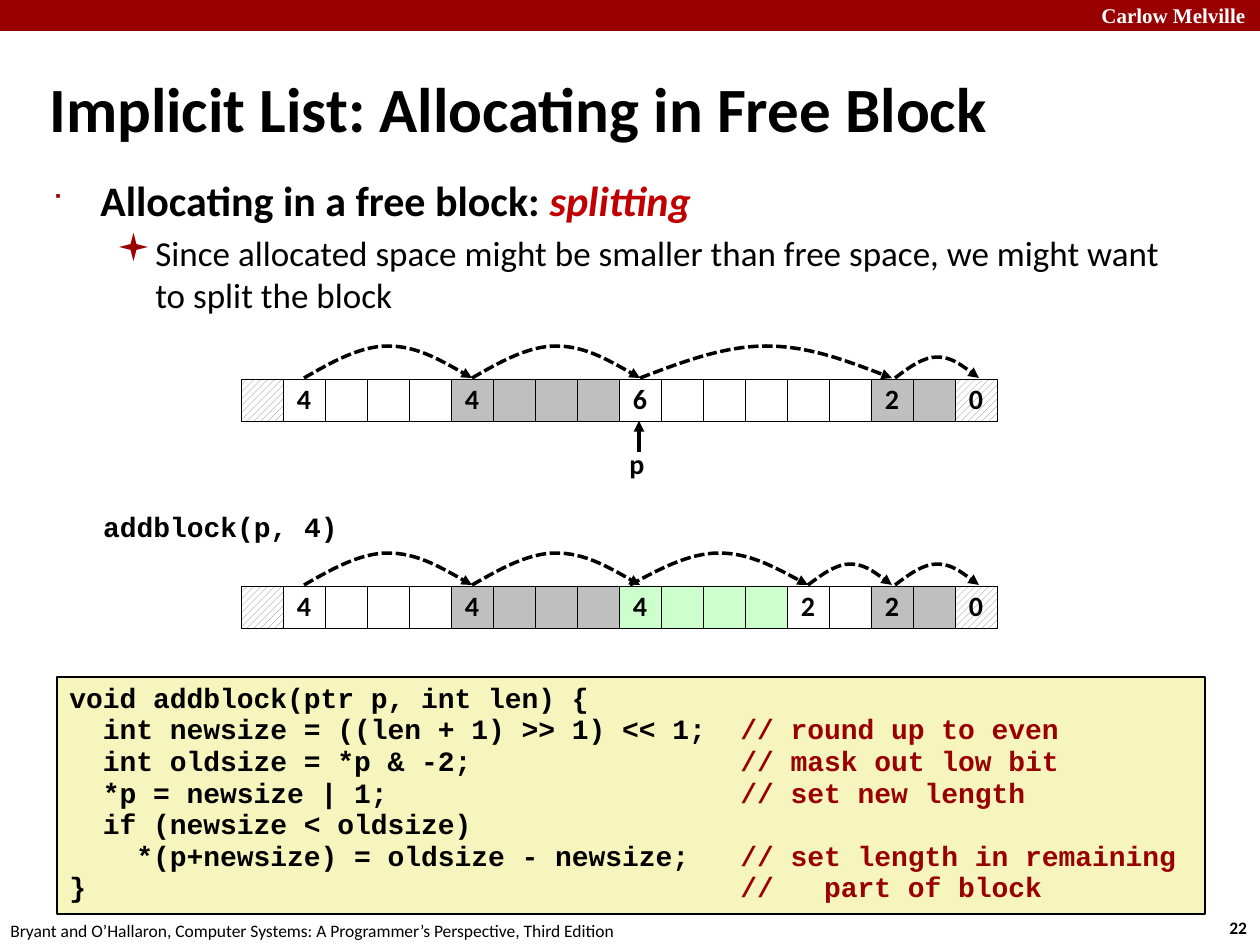
from lxml.etree import SubElement
from pptx import Presentation
from pptx.dml.color import RGBColor
from pptx.enum.dml import MSO_LINE, MSO_PATTERN
from pptx.enum.shapes import MSO_CONNECTOR, MSO_SHAPE
from pptx.enum.text import MSO_ANCHOR, PP_ALIGN
from pptx.oxml.ns import qn
from pptx.util import Emu, Pt

BLACK = RGBColor(0x00, 0x00, 0x00)
WHITE = RGBColor(0xFF, 0xFF, 0xFF)
DARK_RED = RGBColor(0x99, 0x00, 0x00)
RED = RGBColor(0xC0, 0x00, 0x00)
GRAY = RGBColor(0xBF, 0xBF, 0xBF)
GREEN = RGBColor(0xCC, 0xFF, 0xCC)
CREAM = RGBColor(0xF6, 0xF5, 0xBD)
HATCH_GRAY = RGBColor(0x80, 0x80, 0x80)
CELL = 42

CODE = [
    ("void addblock(ptr p, int len) {", ""),
    ("  int newsize = ((len + 1) >> 1) << 1;", "// round up to even"),
    ("  int oldsize = *p & -2;", "// mask out low bit"),
    ("  *p = newsize | 1;", "// set new length"),
    ("  if (newsize < oldsize)", ""),
    ("    *(p+newsize) = oldsize - newsize;", "// set length in remaining"),
    ("}", "//   part of block"),
]
BLOCKS_BEFORE = [(4, WHITE), (4, GRAY), (6, WHITE), (2, GRAY)]
BLOCKS_AFTER = [(4, WHITE), (4, GRAY), (4, GREEN), (2, WHITE), (2, GRAY)]
HOPS_BEFORE = [(63, 231), (231, 399), (399, 651), (654, 738)]
HOPS_AFTER = [(63, 231), (231, 399), (389, 567), (567, 651), (654, 738)]


def px(length):
    """Turn picture pixels into EMU."""
    return Emu(round(length * 9144000 / 1260))


def style(paragraph, size, color=BLACK, bold=True, face="Calibri"):
    """Set the font of a paragraph."""
    font = paragraph.font
    font.size, font.bold, font.name = Pt(size), bold, face
    font.color.rgb = color


def add_label(slide, box, text, size, wrap=False, anchor=MSO_ANCHOR.TOP, **look):
    """Add a text box holding one styled paragraph."""
    label = slide.shapes.add_textbox(*map(px, box))
    frame = label.text_frame
    frame.word_wrap, frame.vertical_anchor = wrap, anchor
    paragraph = frame.paragraphs[0]
    paragraph.text = text
    style(paragraph, size, **look)
    return frame


def add_box(slide, box, fill, line_width=0.25):
    """Add an outlined rectangle, hatched when no fill colour is given."""
    rectangle = slide.shapes.add_shape(MSO_SHAPE.RECTANGLE, *map(px, box))
    rectangle.shadow.inherit = False
    if fill is None:
        rectangle.fill.patterned()
        rectangle.fill.pattern = MSO_PATTERN.WIDE_UPWARD_DIAGONAL
        rectangle.fill.fore_color.rgb = HATCH_GRAY
        rectangle.fill.back_color.rgb = WHITE
    else:
        rectangle.fill.solid()
        rectangle.fill.fore_color.rgb = fill
    rectangle.line.color.rgb = BLACK
    rectangle.line.width = Pt(line_width)
    return rectangle


def add_arrowhead(line):
    """Give a line black ink and an arrowhead at its end."""
    line.color.rgb = BLACK
    line.width = Pt(2)
    SubElement(line._get_or_add_ln(), qn("a:tailEnd"), type="triangle")


def add_hop(slide, left, base, width):
    """Draw a dashed arc from one block header to the next."""
    height = 32 if width > 100 else 21
    builder = slide.shapes.build_freeform(px(left), px(base))
    builder.add_line_segments(
        [(px(left + width / 2), px(base - height)), (px(left + width), px(base))],
        close=False)
    arc = builder.convert_to_shape()
    rise = [(1 / 6, 1 / 2), (1 / 3, 0), (1 / 2, 0)]
    fall = [(2 / 3, 0), (5 / 6, 1 / 2), (1, 1)]
    for segment, curve in zip(list(arc._element.iter(qn("a:lnTo"))), (rise, fall)):
        segment.tag = qn("a:cubicBezTo")
        segment.remove(segment[0])
        for x, y in curve:
            SubElement(segment, qn("a:pt"),
                       x=str(px(x * width)), y=str(px(y * height)))
    arc.shadow.inherit = False
    arc.fill.background()
    arc.line.dash_style = MSO_LINE.SQUARE_DOT
    add_arrowhead(arc.line)


def add_heap(slide, left, top, blocks, hops):
    """Draw a row of memory words with the hops between its blocks."""
    words = [("", None)]
    for size, color in blocks:
        words += [(str(size), color)] + [("", color)] * (size - 1)
    words.append(("0", None))
    for index, (value, color) in enumerate(words):
        word = add_box(slide, (left + index * CELL, top, CELL, CELL), color)
        if value:
            frame = word.text_frame
            frame.word_wrap = False
            frame.vertical_anchor = MSO_ANCHOR.MIDDLE
            paragraph = frame.paragraphs[0]
            paragraph.text = value
            paragraph.alignment = PP_ALIGN.CENTER
            paragraph.line_spacing = 0.98
            style(paragraph, 16)
    for start, end in hops:
        add_hop(slide, left + start, top - 1, end - start)


def add_pointer(slide, left, top):
    """Draw the pointer p below its block."""
    arrow = slide.shapes.add_connector(
        MSO_CONNECTOR.STRAIGHT, px(left), px(top + 31), px(left), px(top))
    add_arrowhead(arrow.line)
    SubElement(arrow._element.spPr, qn("a:effectLst"))
    name = add_label(slide, (left - 22, top + 21, 40, 47), "p", 16)
    name.paragraphs[0].line_spacing = 0.98


def add_bullet(paragraph, mark, percent, indent, hang):
    """Give a paragraph a red bullet and a hanging indent."""
    properties = paragraph._p.get_or_add_pPr()
    properties.set("marL", str(px(indent)))
    properties.set("indent", str(-px(hang)))
    color = SubElement(properties, qn("a:buClr"))
    SubElement(color, qn("a:srgbClr"), val=str(DARK_RED))
    SubElement(properties, qn("a:buSzPct"), val=str(percent * 1000))
    SubElement(properties, qn("a:buFont"), typeface="Wingdings", charset="2")
    SubElement(properties, qn("a:buChar"), char=mark)


def add_body(slide, box):
    """Write the bulleted explanation."""
    frame = add_label(slide, box, "Allocating in a free block: ", 24, wrap=True)
    topic = frame.paragraphs[0]
    topic.space_before = Pt(4.8)
    add_bullet(topic, "■", 60, 48, 48)
    term = topic.add_run()
    term.text = "splitting"
    term.font.italic = True
    term.font.color.rgb = RED
    reason = frame.add_paragraph()
    reason.text = ("Since allocated space might be smaller than free space, "
                   "we might want to split the block")
    reason.level = 1
    reason.space_before = Pt(4)
    style(reason, 20, bold=False)
    add_bullet(reason, "▪", 110, 103, 39)


def add_code(slide, box):
    """Write the listing with its comments at a tab stop."""
    frame = add_box(slide, box, CREAM, 1).text_frame
    frame.word_wrap = True
    frame.vertical_anchor = MSO_ANCHOR.TOP
    for index, (statement, comment) in enumerate(CODE):
        paragraph = frame.add_paragraph() if index else frame.paragraphs[0]
        paragraph.alignment = PP_ALIGN.LEFT
        paragraph.line_spacing = 0.94
        paragraph.add_run().text = statement
        if comment:
            stops = SubElement(paragraph._p.get_or_add_pPr(), qn("a:tabLst"))
            SubElement(stops, qn("a:tab"), pos=str(px(671)), algn="l")
            remark = paragraph.add_run()
            remark.text = "\t" + comment
            remark.font.color.rgb = DARK_RED
        style(paragraph, 16, face="Courier New")


def add_frame(slide, width):
    """Draw the top band, the footer and the page number."""
    band = add_box(slide, (0, 0, width, 31), DARK_RED)
    band.line.fill.background()
    add_label(slide, (1089, -4, 180, 38), "Carlow Melville", 12, wrap=True,
              color=WHITE, face="Times New Roman")
    add_label(slide, (1217, 911, 47, 34), "22", 10)
    add_label(slide, (-2, 914, 640, 34),
              "Bryant and O’Hallaron, Computer Systems: "
              "A Programmer’s Perspective, Third Edition", 10, bold=False)


def build():
    """Build and save the slide."""
    deck = Presentation()
    deck.slide_width, deck.slide_height = px(1260), px(945)
    slide = deck.slides.add_slide(deck.slide_layouts[6])
    add_frame(slide, 1260)
    add_label(slide, (37, 68, 1187, 79), "Implicit List: Allocating in Free Block",
              36, wrap=True, anchor=MSO_ANCHOR.MIDDLE)
    add_body(slide, (40, 168, 1145, 720))
    add_code(slide, (57, 677, 1148, 237))
    add_heap(slide, 241, 379, BLOCKS_BEFORE, HOPS_BEFORE)
    add_pointer(slide, 639, 421)
    call = add_label(slide, (95, 508, 251, 42), "addblock(p, 4)", 16, face="Courier New")
    call.margin_left = call.margin_right = px(6)
    call.paragraphs[0].alignment = PP_ALIGN.CENTER
    call.paragraphs[0].line_spacing = 0.85
    add_heap(slide, 241, 586, BLOCKS_AFTER, HOPS_AFTER)
    deck.save("out.pptx")


build()
